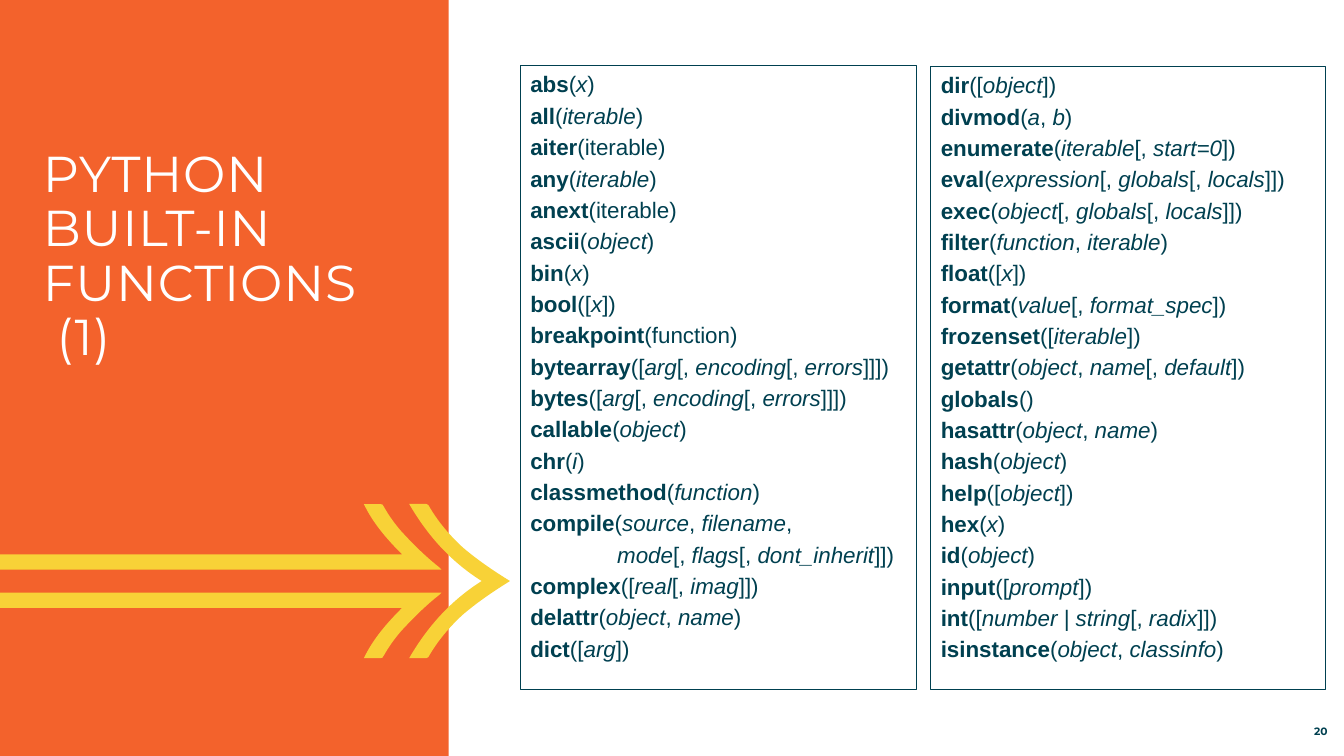
from dataclasses import dataclass
from typing import Optional

from lxml.etree import SubElement
from pptx import Presentation
from pptx.dml.color import RGBColor
from pptx.enum.shapes import MSO_SHAPE as Preset
from pptx.enum.text import MSO_ANCHOR as Anchor, PP_ALIGN as Align
from pptx.oxml.ns import qn
from pptx.util import Emu, Inches, Pt

COLUMNS, ROWS = 160, 90
ORANGE, YELLOW, TEAL, WHITE = "F3622C", "F8D237", "004050", "FFFFFF"
ARROW_AXIS = 69.18
CONTINUATION_INDENT = 10.35

Point = tuple[float, float]
Segment = list[Point]


@dataclass(frozen=True)
class Area:
    column: float
    row: float
    width: float
    height: float


@dataclass(frozen=True)
class FunctionList:
    area: Area
    signatures: list[str]


FUNCTION_LISTS = [
    FunctionList(Area(61.95, 7.82, 47.16, 74.22), [
        "abs(*x*)",
        "all(*iterable*)",
        "aiter(iterable)",
        "any(*iterable*)",
        "anext(iterable)",
        "ascii(*object*)",
        "bin(*x*)",
        "bool([*x*])",
        "breakpoint(function)",
        "bytearray([*arg*[, *encoding*[, *errors*]]])",
        "bytes([*arg*[, *encoding*[, *errors*]]])",
        "callable(*object*)",
        "chr(*i*)",
        "classmethod(*function*)",
        "compile(*source*, *filename*,",
        "*mode*[, *flags*[, *dont_inherit*]])",
        "complex([*real*[, *imag*]])",
        "delattr(*object*, *name*)",
        "dict([*arg*])",
    ]),
    FunctionList(Area(110.82, 7.9, 47.04, 74.22), [
        "dir([*object*])",
        "divmod(*a*, *b*)",
        "enumerate(*iterable*[, *start=0*])",
        "eval(*expression*[, *globals*[, *locals*]])",
        "exec(*object*[, *globals*[, *locals*]])",
        "filter(*function*, *iterable*)",
        "float([*x*])",
        "format(*value*[, *format_spec*])",
        "frozenset([*iterable*])",
        "getattr(*object*, *name*[, *default*])",
        "globals()",
        "hasattr(*object*, *name*)",
        "hash(*object*)",
        "help([*object*])",
        "hex(*x*)",
        "id(*object*)",
        "input([*prompt*])",
        "int([*number | string*[, *radix*]])",
        "isinstance(*object*, *classinfo*)",
    ]),
]

SHAFT: list[Segment] = [
    [(52.56, 67.8)], [(0, 67.8)], [(0, 66)], [(47.88, 66)],
    [(46.08, 64.2), (44.4, 62.28), (43.32, 60)],
    [(45.12, 60)],
    [(45.36, 59.88), (45.72, 60.12), (45.72, 60.36)],
    [(46.32, 61.44), (47.04, 62.4), (47.76, 63.24)],
    [(49.2, 64.8), (50.64, 66.24), (52.32, 67.56)],
]
CHEVRON_HALF: list[Segment] = [
    [(57.36, ARROW_AXIS)],
    [(53.64, 66.84), (50.88, 63.72), (48.72, 60)],
    [(50.76, 60)], [(51, 60.12)],
    [(52.08, 62.04), (53.52, 63.72), (55.08, 65.16)],
    [(56.76, 66.6), (58.68, 67.92), (60.72, ARROW_AXIS)],
]

presentation = Presentation()
presentation.slide_width = Inches(13.3333)
presentation.slide_height = Inches(7.5)
slide = presentation.slides.add_slide(presentation.slide_layouts[6])


def across(columns: float) -> Emu:
    return Emu(round(presentation.slide_width * columns / COLUMNS))


def down(rows: float) -> Emu:
    return Emu(round(presentation.slide_height * rows / ROWS))


def place(area: Area) -> tuple[Emu, Emu, Emu, Emu]:
    return across(area.column), down(area.row), across(area.width), down(area.height)


def color(value: str) -> RGBColor:
    return RGBColor.from_string(value)


def paint(shape, fill: Optional[str] = None, line: Optional[str] = None) -> None:
    shape.shadow.inherit = False
    if fill:
        shape.fill.solid()
        shape.fill.fore_color.rgb = color(fill)
    else:
        shape.fill.background()
    if line:
        shape.line.color.rgb = color(line)
        shape.line.width = Pt(0.75)
    else:
        shape.line.fill.background()


def add_text(paragraph, text: str, *, font: str, size: float, ink: str,
             bold: bool = False, italic: bool = False, tracking: int = 0) -> None:
    run = paragraph.add_run()
    run.text = text
    run.font.name, run.font.size = font, Pt(size)
    run.font.bold, run.font.italic = bold, italic
    run.font.color.rgb = color(ink)
    if tracking:
        run.font._element.set("spc", str(tracking))


def set_frame(shape, anchor: Anchor, side: float = 0, top: float = 0):
    frame = shape.text_frame
    frame.word_wrap = True
    frame.vertical_anchor = anchor
    frame.margin_left = frame.margin_right = across(side)
    frame.margin_top = frame.margin_bottom = down(top)
    return frame


def next_paragraph(frame, index: int):
    return frame.add_paragraph() if index else frame.paragraphs[0]


def mirror(segments: list[Segment]) -> list[Segment]:
    return [[(x, 2 * ARROW_AXIS - y) for x, y in segment] for segment in segments]


def backward(segments: list[Segment]) -> list[Segment]:
    pairs = list(zip(segments, segments[1:]))
    return [[*segment[-2::-1], before[-1]] for before, segment in reversed(pairs)]


def add_outline(segments: list[Segment]) -> None:
    corners = [(across(x), down(y)) for x, y in (segment[-1] for segment in segments)]
    builder = slide.shapes.build_freeform(*corners[0], scale=1.0)
    builder.add_line_segments(corners[1:], close=True)
    shape = builder.convert_to_shape()
    paint(shape, fill=YELLOW)
    lines = list(shape._element.iter(qn("a:lnTo")))
    for line, segment in zip(lines, segments[1:]):
        if len(segment) == 3:
            line.tag = qn("a:cubicBezTo")
            line.remove(line[0])
            for x, y in segment:
                SubElement(line, qn("a:pt"), x=str(across(x) - shape.left), y=str(down(y) - shape.top))


def add_function_list(functions: FunctionList) -> None:
    box = slide.shapes.add_shape(Preset.RECTANGLE, *place(functions.area))
    paint(box, line=TEAL)
    frame = set_frame(box, Anchor.TOP, side=1.2, top=0.6)
    for index, signature in enumerate(functions.signatures):
        paragraph = next_paragraph(frame, index)
        paragraph.alignment = Align.LEFT
        if index:
            paragraph.space_before = Pt(3.2)
        name, bracket, arguments = signature.partition("(")
        if bracket:
            add_text(paragraph, name, font="Arial", size=16, ink=TEAL, bold=True)
        else:
            paragraph._p.get_or_add_pPr().set("marL", str(across(CONTINUATION_INDENT)))
            arguments = signature
        for order, part in enumerate((bracket + arguments).split("*")):
            if part:
                add_text(paragraph, part, font="Arial", size=16, ink=TEAL, italic=order % 2 == 1)


def main() -> None:
    panel = slide.shapes.add_shape(Preset.RECTANGLE, *place(Area(0, 0, 53.4, ROWS)))
    paint(panel, fill=ORANGE)
    chevron = CHEVRON_HALF + backward(mirror(CHEVRON_HALF))
    for outline in (SHAFT, chevron, mirror(SHAFT)):
        add_outline(outline)

    title = slide.shapes.add_textbox(*place(Area(5.1, 17.7, 45.24, 36.12)))
    frame = set_frame(title, Anchor.TOP)
    for index, line in enumerate(("PYTHON", "BUILT-IN", "FUNCTIONS", " (1)")):
        paragraph = next_paragraph(frame, index)
        paragraph.line_spacing = 0.9
        add_text(paragraph, line, font="Montserrat", size=36, ink=WHITE, tracking=60)
    for functions in FUNCTION_LISTS:
        add_function_list(functions)

    number = slide.shapes.add_textbox(*place(Area(147.72, 85.44, 10.32, 2.4)))
    paragraph = set_frame(number, Anchor.BOTTOM).paragraphs[0]
    paragraph.alignment = Align.RIGHT
    add_text(paragraph, "20", font="Montserrat", size=7.6, ink=TEAL, bold=True)
    presentation.save("out.pptx")


if __name__ == "__main__":
    main()
